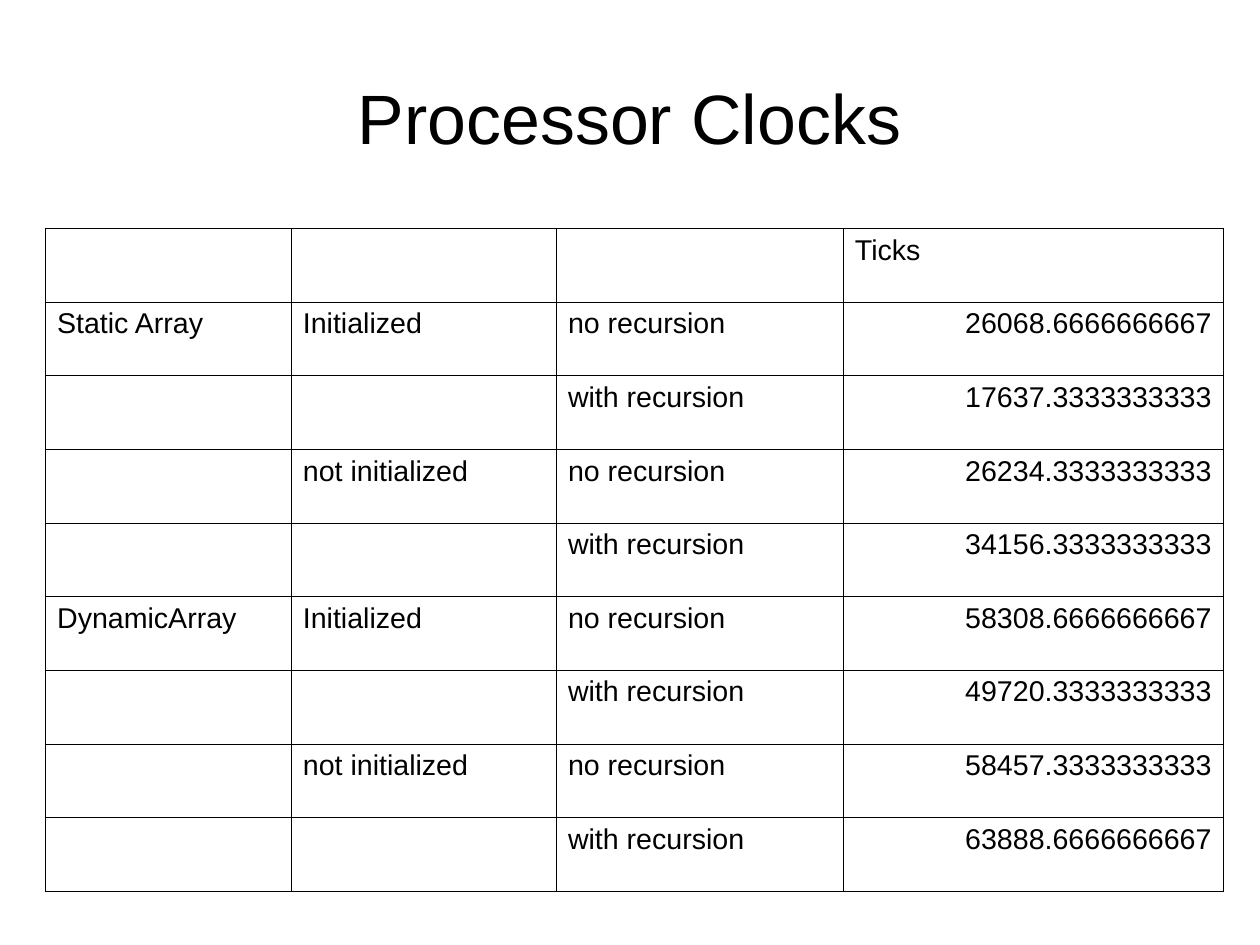
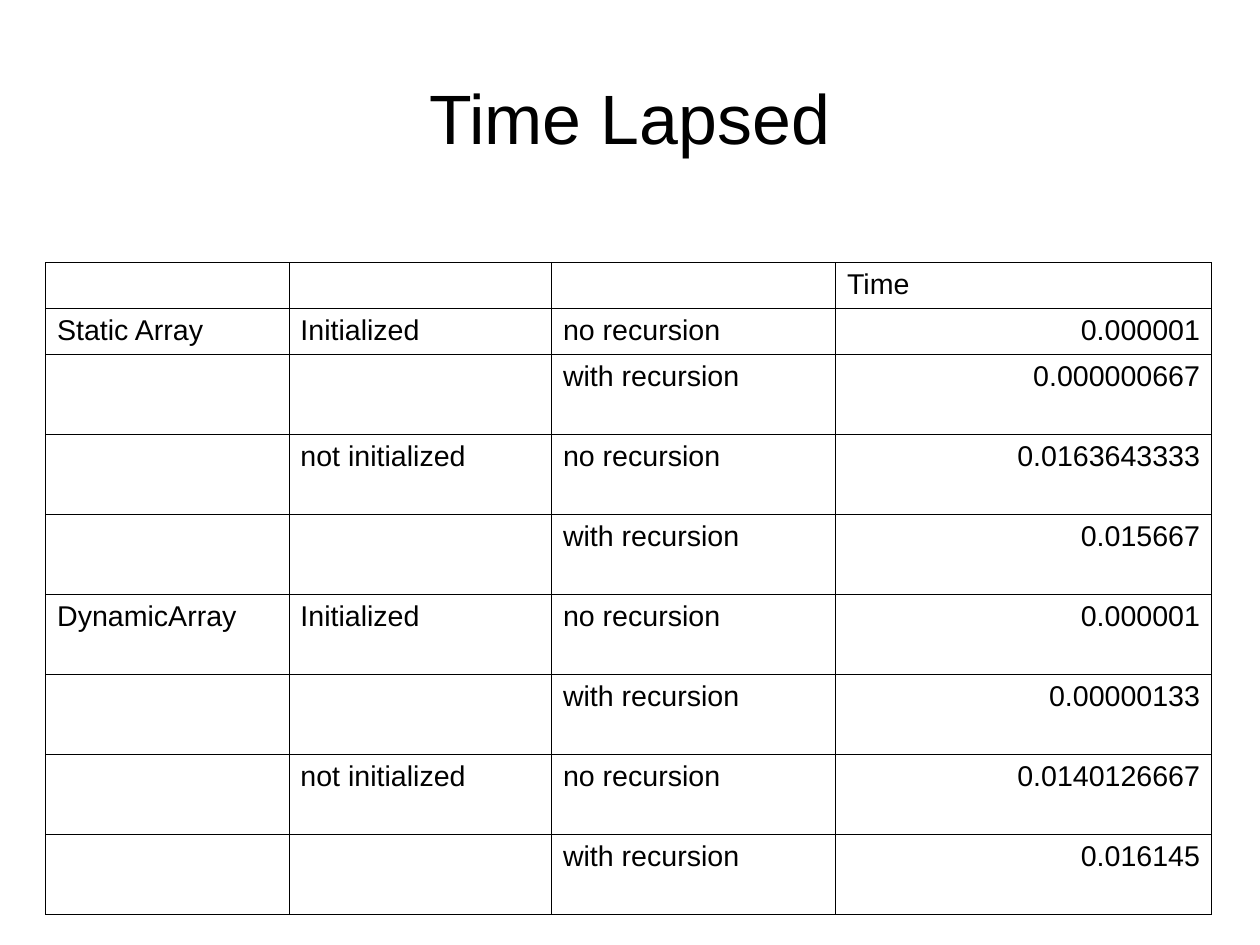
from dataclasses import dataclass
from typing import Any

from lxml.etree import SubElement
from pptx import Presentation
from pptx.dml.color import RGBColor
from pptx.enum.text import MSO_ANCHOR as Anchor, PP_ALIGN as Align
from pptx.oxml.ns import qn
from pptx.slide import Slide
from pptx.table import _Cell as Cell
from pptx.text.text import _Paragraph as Paragraph
from pptx.util import Inches, Pt

# Slide size: 28 by 21 centimetres
CM_PER_INCH = 2.54
SLIDE_SIZE = {
    "slide_width": Inches(28 / CM_PER_INCH),
    "slide_height": Inches(21 / CM_PER_INCH),
}

# Shared style
BLACK = RGBColor(0x00, 0x00, 0x00)
WHITE = RGBColor(0xFF, 0xFF, 0xFF)
TITLE_FONT = {"name": "Arial", "size": Pt(44)}
CELL_FONT = {"name": "Arial", "size": Pt(18)}
TITLE_FRAME = {
    "word_wrap": True, "vertical_anchor": Anchor.MIDDLE,
    "margin_left": 0, "margin_right": 0, "margin_top": 0, "margin_bottom": 0,
}
CELL_FORMAT = {
    "margin_left": Inches(0.1), "margin_right": Inches(0.1),
    "margin_top": Inches(0.05), "margin_bottom": Inches(0.05),
    "vertical_anchor": Anchor.TOP,
}
PLAIN_TABLE = {"first_row": False, "horz_banding": False}
BORDER_WIDTH = Pt(0.57)
TABLE_LEFT = 0.4
COLUMN_SHARES = (2.15, 2.32, 2.51, 3.32)

# Row labels: every combination of array, initialization and recursion
ARRAYS = ("Static Array", "DynamicArray")
STATES = ("Initialized", "not initialized")
CALLS = ("no recursion", "with recursion")


@dataclass(frozen=True)
class Measurement:
    """One titled table of results."""
    title: str
    unit: str
    top: float
    width: float
    row_heights: tuple[float, ...]
    values: tuple[str, ...]


MEASUREMENTS = (
    Measurement(
        "Processor Clocks", "Ticks", 2.0, 10.3, (5.8 / 9,) * 9,
        ("26068.6666666667", "17637.3333333333",
         "26234.3333333333", "34156.3333333333",
         "58308.6666666667", "49720.3333333333",
         "58457.3333333333", "63888.6666666667")),
    Measurement(
        "Time Lapsed", "Time", 2.3, 10.2, (0.4,) * 2 + (0.7,) * 7,
        ("0.000001", "0.000000667", "0.0163643333", "0.015667",
         "0.000001", "0.00000133", "0.0140126667", "0.016145")),
)


def apply_format(target: Any, values: dict[str, Any]) -> None:
    for name, value in values.items():
        setattr(target, name, value)


def write(paragraph: Paragraph, text: str, font: dict[str, Any], align: Align) -> None:
    paragraph.alignment = align
    run = paragraph.add_run()
    run.text = text
    apply_format(run.font, font)
    run.font.color.rgb = BLACK


def add_title(slide: Slide, text: str) -> None:
    box = slide.shapes.add_textbox(Inches(0.55), Inches(0.33), Inches(9.92), Inches(1.38))
    apply_format(box.text_frame, TITLE_FRAME)
    write(box.text_frame.paragraphs[0], text, TITLE_FONT, Align.CENTER)


def add_borders(cell: Cell) -> None:
    properties = cell._tc.get_or_add_tcPr()
    for side in ("a:lnL", "a:lnR", "a:lnT", "a:lnB"):
        line = SubElement(properties, qn(side), w=str(int(BORDER_WIDTH)))
        fill = SubElement(line, qn("a:solidFill"))
        SubElement(fill, qn("a:srgbClr"), val=str(BLACK))


def table_rows(measurement: Measurement) -> list[tuple[str, ...]]:
    """Name each array and state only in the first row of its group."""
    rows = [("", "", "", measurement.unit)]
    for index, value in enumerate(measurement.values):
        array = ARRAYS[index // 4] if index % 4 == 0 else ""
        state = STATES[index // 2 % 2] if index % 2 == 0 else ""
        rows.append((array, state, CALLS[index % 2], value))
    return rows


def add_results(slide: Slide, measurement: Measurement) -> None:
    heights = measurement.row_heights
    table = slide.shapes.add_table(
        len(heights), len(COLUMN_SHARES), Inches(TABLE_LEFT), Inches(measurement.top),
        Inches(measurement.width), Inches(sum(heights))).table
    apply_format(table, PLAIN_TABLE)
    for column, share in zip(table.columns, COLUMN_SHARES):
        column.width = Inches(measurement.width * share / sum(COLUMN_SHARES))
    for row, height in zip(table.rows, heights):
        row.height = Inches(height)

    for row_index, texts in enumerate(table_rows(measurement)):
        for column_index, text in enumerate(texts):
            cell = table.cell(row_index, column_index)
            apply_format(cell, CELL_FORMAT)
            add_borders(cell)
            cell.fill.solid()
            cell.fill.fore_color.rgb = WHITE
            if text:
                is_value = row_index > 0 and column_index == len(texts) - 1
                write(cell.text_frame.paragraphs[0], text, CELL_FONT,
                      Align.RIGHT if is_value else Align.LEFT)


def main() -> None:
    presentation = Presentation()
    apply_format(presentation, SLIDE_SIZE)
    # The size is custom, so the template's 4:3 screen type no longer holds
    presentation.element.find(qn("p:sldSz")).attrib.pop("type", None)
    blank_layout = presentation.slide_layouts[6]
    for measurement in MEASUREMENTS:
        slide = presentation.slides.add_slide(blank_layout)
        add_title(slide, measurement.title)
        add_results(slide, measurement)
    presentation.save("out.pptx")


main()
